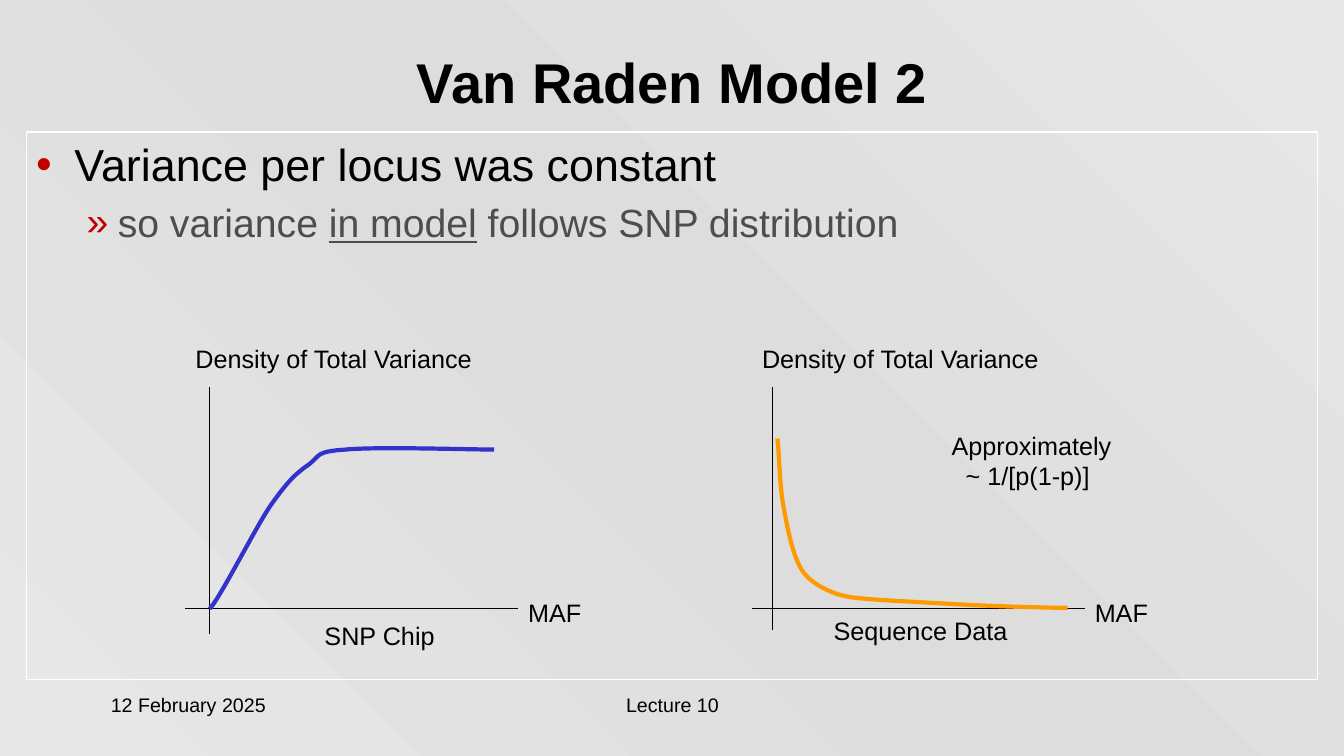
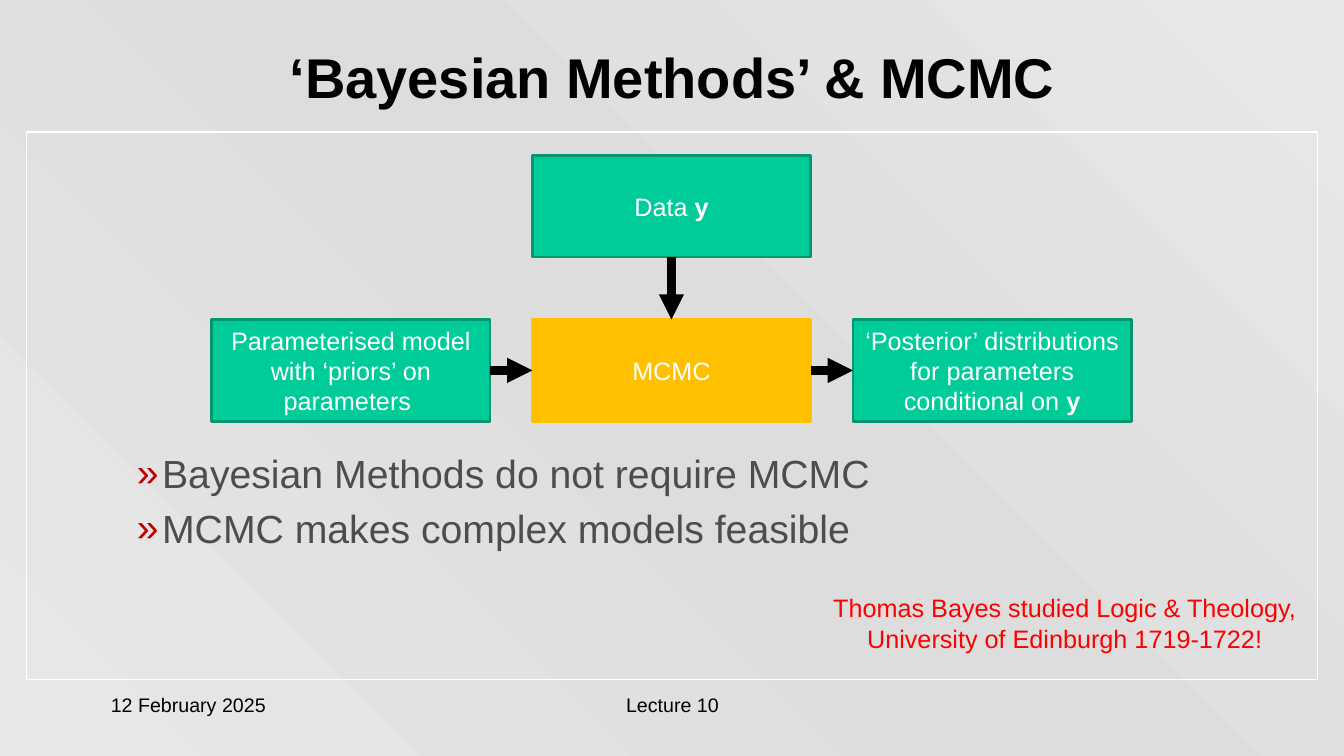
import copy
import dataclasses

import lxml.etree
import pptx
import pptx.dml.color
import pptx.enum.shapes
import pptx.enum.text
import pptx.oxml.ns
import pptx.util

SCALE = 9144
ALIGN = pptx.enum.text.PP_ALIGN
ANCHOR = pptx.enum.text.MSO_ANCHOR
RECT = pptx.enum.shapes.MSO_SHAPE.RECTANGLE
LINE = pptx.enum.shapes.MSO_CONNECTOR.STRAIGHT
qn = pptx.oxml.ns.qn


@dataclasses.dataclass(frozen=True)
class Theme:
    """Colours, font and type sizes of the deck."""
    font: str = "Arial"
    ink: str = "000000"
    soft: str = "4D4D4D"
    white: str = "FFFFFF"
    mark: str = "C00000"
    note: str = "FF0000"
    green: str = "00CC99"
    edge: str = "009771"
    gold: str = "FFC000"
    blue: str = "3333CC"
    orange: str = "FF9900"
    ground: tuple = ("E7E7E7", "DDDDDD", "E7E7E7")
    title: int = 40
    head: int = 32
    sub: int = 28
    label: int = 18
    foot: int = 14


THEME = Theme()


@dataclasses.dataclass(frozen=True)
class Bullet:
    """A bulleted line with its indents in px."""
    text: object
    sign: str
    left: int
    hang: int
    size: int
    color: str


@dataclasses.dataclass(frozen=True)
class Plot:
    """A density sketch: axis place, caption and curve in px."""
    left: int
    axis: int
    foot: int
    name: str
    shift: int
    color: str
    curve: tuple


PLOTS = (
    Plot(184, 24, 25, "SNP Chip", 128, THEME.blue, (
        (0, 0), (11, -12), (44, -78), (60, -102), (77, -126), (85, -134),
        (98, -143), (110, -152), (104, -156), (135, -158), (165, -161),
        (257, -158), (282, -158))),
    Plot(746, 20, 21, "Sequence Data", 71, THEME.orange, (
        (5, -169), (7, -156), (7, -119), (12, -97), (16, -75), (21, -50),
        (31, -36), (42, -22), (63, -14), (75, -12), (87, -10), (104, -9),
        (121, -8), (137, -7), (157, -6), (175, -5), (206, -3), (268, -1),
        (293, -1))),
)


def px(*marks):
    """Turn px into EMU."""
    return [mark * SCALE for mark in marks]


def rgb(code):
    """Give the colour for a hex code."""
    return pptx.dml.color.RGBColor.from_string(code)


def style(para, size, color, bold=False):
    """Format every run of a paragraph."""
    for run in para.runs:
        font = run.font
        font.name, font.size = THEME.font, pptx.util.Pt(size)
        font.color.rgb = rgb(color)
        if bold:
            font.bold = True


def write(para, text):
    """Put text, or a row of pieces, in a paragraph."""
    first, *rest = (text,) if isinstance(text, str) else text
    para.text = first
    for piece in rest:
        para.add_run().text = piece


def fill(frame, lines, size, color, align=ALIGN.LEFT):
    """Write plain lines into a text frame."""
    frame.word_wrap = True
    for i, line in enumerate(lines):
        para = frame.add_paragraph() if i else frame.paragraphs[0]
        write(para, line)
        para.alignment = align
        style(para, size, color)


def label(slide, box, lines, size=THEME.label, color=THEME.ink,
          align=ALIGN.LEFT):
    """Add a text box."""
    frame = slide.shapes.add_textbox(*px(*box)).text_frame
    fill(frame, lines, size, color, align)
    return frame


def rule(slide, start, end, width=0.75, arrow=False):
    """Add a straight line or arrow."""
    line = slide.shapes.add_connector(LINE, *px(*start, *end))
    line.line.color.rgb = rgb(THEME.ink)
    line.line.width = pptx.util.Pt(width)
    props = line.element.spPr
    if arrow:
        lxml.etree.SubElement(props.find(qn("a:ln")), qn("a:tailEnd"),
                              type="triangle")
    lxml.etree.SubElement(props, qn("a:effectLst"))
    return line


def panel(slide, bullets, top):
    """Add the outlined body with bullets that start at a given inset."""
    shape = slide.shapes.add_shape(RECT, *px(26, 131, 1281, 543))
    shape.shadow.inherit = False
    shape.fill.background()
    shape.line.color.rgb = rgb(THEME.white)
    shape.line.width = pptx.util.Pt(0.75)
    frame = shape.text_frame
    frame.word_wrap, frame.vertical_anchor = True, ANCHOR.TOP
    frame.margin_top = px(top)[0]
    for i, item in enumerate(bullets):
        para = frame.add_paragraph() if i else frame.paragraphs[0]
        write(para, item.text)
        para.alignment = ALIGN.LEFT
        if i:
            para.space_before = pptx.util.Pt(5.6)
        props = para._p.get_or_add_pPr()
        left, hang = px(item.left, item.hang)
        props.set("marL", str(left))
        props.set("indent", str(-hang))
        tint = lxml.etree.SubElement(props, qn("a:buClr"))
        lxml.etree.SubElement(tint, qn("a:srgbClr"), val=THEME.mark)
        lxml.etree.SubElement(props, qn("a:buFont"), typeface=THEME.font)
        lxml.etree.SubElement(props, qn("a:buChar"), char=item.sign)
        para.font.name = THEME.font
        para.font.size = pptx.util.Pt(item.size)
        style(para, item.size, item.color)
    return frame


def base(deck, text, box):
    """Add a slide with its title and footers."""
    slide = deck.slides.add_slide(deck.slide_layouts[5])
    title = slide.shapes.title
    title.left, title.top, title.width, title.height = px(*box)
    frame = title.text_frame
    frame.text = text
    frame.word_wrap, frame.vertical_anchor = True, ANCHOR.MIDDLE
    frame.auto_size = pptx.enum.text.MSO_AUTO_SIZE.NONE
    frame.paragraphs[0].alignment = ALIGN.CENTER
    style(frame.paragraphs[0], THEME.title, THEME.ink, True)
    label(slide, (100, 683, 278, 50), ["12 February 2025"], THEME.foot)
    label(slide, (456, 683, 422, 50), ["Lecture 10"], THEME.foot,
          align=ALIGN.CENTER)
    return slide


def bend(slide, knots, color):
    """Add an open chain of cubic curves."""
    pen = slide.shapes.build_freeform(*knots[0])
    pen.add_line_segments(knots[1:], close=False)
    curve = pen.convert_to_shape()
    legs = list(curve.element.iter(qn("a:lnTo")))
    for i in range(0, len(legs), 3):
        cubic = lxml.etree.SubElement(legs[i].getparent(),
                                      qn("a:cubicBezTo"))
        for leg in legs[i:i + 3]:
            cubic.append(leg[0])
            leg.getparent().remove(leg)
    curve.shadow.inherit = False
    curve.fill.background()
    curve.line.color.rgb = rgb(color)
    curve.line.width = pptx.util.Pt(3)


def graph(slide, plot, top=336, width=330):
    """Draw one density sketch."""
    left, zero, floor = plot.left, plot.left + plot.axis, top + 268
    foot = floor + plot.foot
    label(slide, (left, top, 306, 40), ["Density of Total Variance"])
    rule(slide, (zero, top + 48), (zero, foot))
    rule(slide, (left, floor), (left + width, floor))
    label(slide, (left + width, floor - 16, 90, 40), ["MAF"])
    label(slide, (left + plot.shift, foot - 19, 204, 40), [plot.name])
    bend(slide, [px(zero + x, floor + y) for x, y in plot.curve], plot.color)


def block(slide, left, top, lines, color=THEME.green, edge=THEME.edge):
    """Add one box of the flow."""
    shape = slide.shapes.add_shape(RECT, *px(left, top, 276, 101))
    shape.shadow.inherit = False
    shape.fill.solid()
    shape.fill.fore_color.rgb = rgb(color)
    shape.line.color.rgb = rgb(edge)
    shape.line.width = pptx.util.Pt(2)
    fill(shape.text_frame, lines, THEME.label, THEME.white, ALIGN.CENTER)
    shape.text_frame.vertical_anchor = ANCHOR.MIDDLE
    for para in shape.text_frame.paragraphs:
        for run in para.runs[1:]:
            run.font.bold = True
    return shape


def flow(slide, left=210, top=154, pitch=318, drop=163):
    """Draw the boxes and arrows around MCMC."""
    mid, row = left + pitch, top + drop
    data = block(slide, mid, top, [("Data ", "y")])
    model = block(slide, left, row, [
        "Parameterised model", "with ‘priors’ on parameters "])
    core = block(slide, mid, row, ["MCMC"], THEME.gold, THEME.gold)
    post = block(slide, mid + pitch, row, [
        "‘Posterior’ distributions", "for parameters",
        ("conditional on ", "y")])
    for start, out, end, into in ((model, 3, core, 1), (core, 3, post, 1),
                                  (data, 2, core, 0)):
        arrow = rule(slide, (0, 0), (0, 0), 6, True)
        arrow.begin_connect(start, out)
        arrow.end_connect(end, into)


def locus(deck):
    """Build the slide on variance per locus."""
    slide = base(deck, "Van Raden Model 2", (26, 30, 1281, 101))
    frame = panel(slide, (
        Bullet("Variance per locus was constant", "•", 38, 38,
               THEME.head, THEME.ink),
        Bullet(("so variance ", "in model", " follows SNP distribution"),
               "»", 81, 31, THEME.sub, THEME.soft)), 5)
    frame.paragraphs[1].runs[1].font.underline = True
    for plot in PLOTS:
        graph(slide, plot)
    note = label(slide, (934, 422, 213, 71), ["Approximately", "~ 1/[p(1-p)]"])
    note.paragraphs[1]._p.get_or_add_pPr().set("marL", str(px(14)[0]))


def bayes(deck):
    """Build the slide on Bayesian methods."""
    slide = base(deck, "‘Bayesian Methods’ & MCMC", (186, 25, 961, 101))
    panel(slide, [Bullet(text, "»", 125, 25, THEME.sub, THEME.soft)
                  for text in ("Bayesian Methods do not require MCMC",
                               "MCMC makes complex models feasible")], 315)
    flow(slide)
    label(slide, (808, 583, 496, 71), [
        "Thomas Bayes studied Logic & Theology,",
        "University of Edinburgh 1719-1722!"],
        color=THEME.note, align=ALIGN.CENTER)


def ground(master):
    """Give the master its diagonal gradient."""
    wash = master.background.fill
    wash.gradient()
    wash.gradient_angle = 45
    stops = master.element.find(".//" + qn("a:gsLst"))
    stops.insert(1, copy.deepcopy(stops[0]))
    for i, (stop, code) in enumerate(zip(wash.gradient_stops, THEME.ground)):
        stop.position = i / 2
        stop.color.rgb = rgb(code)


def main():
    """Build and save the deck."""
    deck = pptx.Presentation()
    deck.slide_width, deck.slide_height = px(1333, 750)
    ground(deck.slide_master)
    locus(deck)
    bayes(deck)
    deck.save("out.pptx")


if __name__ == "__main__":
    main()
